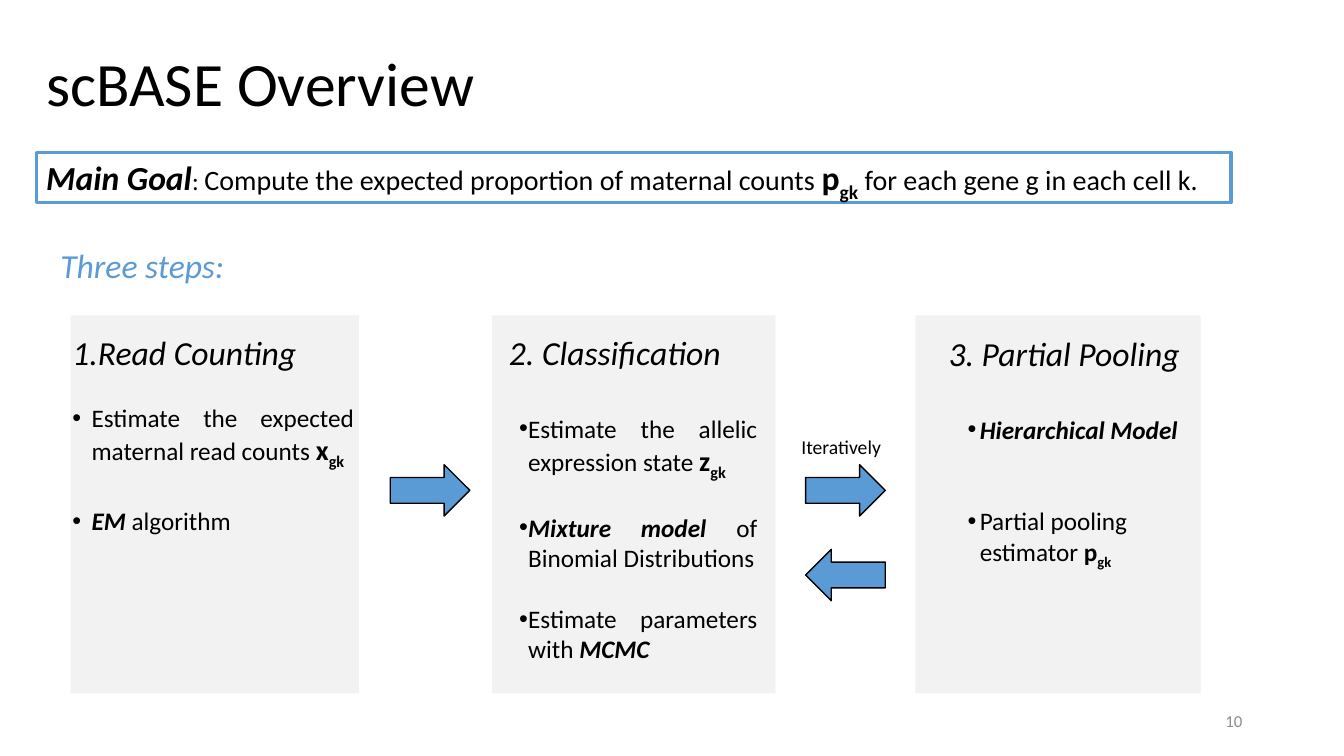
from lxml import etree
from pptx import Presentation
from pptx.dml.color import RGBColor
from pptx.enum import shapes, text
from pptx.oxml import ns
from pptx.util import Inches, Pt

BLACK = RGBColor(0, 0, 0)
BLUE = RGBColor(0x5B, 0x9B, 0xD5)
PALE = RGBColor(0xF2, 0xF2, 0xF2)
GRAY = RGBColor(0x8C, 0x8C, 0x8C)
FONT = "Calibri"
KIND = shapes.MSO_SHAPE
ALIGN = text.PP_ALIGN
MID = text.MSO_ANCHOR.MIDDLE
LOW = text.MSO_ANCHOR.BOTTOM


def write(par, words, size=18, bold=False, ital=False, color=BLACK, sub=False):
    run = par.add_run()
    run.text = words
    font = run.font
    font.name, font.size = FONT, Pt(size)
    font.bold, font.italic = bold, ital
    font.color.rgb = color
    if sub:
        run._r.get_or_add_rPr().set("baseline", "-25000")


def symbol(par, letter, size, tail="gk"):
    write(par, letter, size, bold=True)
    write(par, tail, size, bold=True, sub=True)


def frame(slide, x, y, w, h, anchor=text.MSO_ANCHOR.TOP):
    box = slide.shapes.add_textbox(Inches(x), Inches(y), Inches(w), Inches(h))
    body = box.text_frame
    body.word_wrap = True
    body.vertical_anchor = anchor
    return body


def label(slide, words, x, y, w, h, anchor=text.MSO_ANCHOR.TOP, align=ALIGN.LEFT, **form):
    par = frame(slide, x, y, w, h, anchor).paragraphs[0]
    par.alignment = align
    write(par, words, **form)
    return par


def block(slide, kind, x, y, w, h, fill=None, line=None, width=1):
    shape = slide.shapes.add_shape(kind, Inches(x), Inches(y), Inches(w), Inches(h))
    shape.shadow.inherit = False
    if fill is None:
        shape.fill.background()
    else:
        shape.fill.solid()
        shape.fill.fore_color.rgb = fill
    if line is None:
        shape.line.fill.background()
    else:
        shape.line.color.rgb = line
        shape.line.width = Pt(width)
    return shape


def arrow(slide, x, y, kind=KIND.RIGHT_ARROW):
    block(slide, kind, x, y, 0.79, 0.51, BLUE, BLACK)


def goal(slide):
    box = block(slide, KIND.RECTANGLE, 0.36, 1.51, 11.85, 0.5, line=BLUE, width=2.25)
    body = box.text_frame
    body.word_wrap = True
    body.vertical_anchor = text.MSO_ANCHOR.TOP
    par = body.paragraphs[0]
    par.alignment = ALIGN.LEFT
    write(par, "Main Goal", 24, bold=True, ital=True)
    write(par, ": ")
    write(par, "Compute the expected proportion of maternal counts ", 20)
    symbol(par, "p", 24)
    write(par, " for each gene g in each cell k.", 20)


def step(slide, head, x, y, w, h, align, left, hang):
    body = frame(slide, x, y, w, h)
    par = body.paragraphs[0]
    par.alignment = align
    write(par, head, 24, ital=True)

    def bullet(gap):
        item = body.add_paragraph()
        item.alignment = align
        item.space_before = Pt(gap)
        prop = item._p.get_or_add_pPr()
        prop.set("marL", str(Inches(left)))
        prop.set("indent", str(-Inches(hang)))
        etree.SubElement(prop, ns.qn("a:buFont")).set("typeface", "Arial")
        etree.SubElement(prop, ns.qn("a:buChar")).set("char", "•")
        return item

    return bullet


def count(slide):
    bullet = step(slide, "1.Read Counting", 0.62, 3.24, 2.99, 2.09, ALIGN.JUSTIFY, 0.19, 0.19)
    par = bullet(22)
    write(par, "Estimate the expected maternal read counts ")
    symbol(par, "x", 20, "gk ")
    par = bullet(24.4)
    write(par, "EM", bold=True, ital=True)
    write(par, " algorithm")


def classify(slide):
    bullet = step(slide, "2. Classification", 4.95, 3.24, 2.66, 3.64, ALIGN.JUSTIFY, 0.19, 0.09)
    par = bullet(29.3)
    write(par, "Estimate the allelic expression state ")
    symbol(par, "z", 20)
    write(par, " ", 16)
    par = bullet(22)
    write(par, "Mixture model", bold=True, ital=True)
    write(par, " of Binomial Distributions")
    par = bullet(22)
    write(par, "Estimate parameters with ")
    write(par, "MCMC", bold=True, ital=True)


def pool(slide):
    bullet = step(slide, "3. Partial Pooling", 9.31, 3.25, 2.9, 2.83, ALIGN.LEFT, 0.31, 0.12)
    write(bullet(29.3), "Hierarchical Model", bold=True, ital=True)
    par = bullet(44)
    write(par, "Partial pooling estimator ")
    symbol(par, "p", 18)


def main():
    deck = Presentation()
    deck.slide_width, deck.slide_height = Inches(13.33), Inches(7.5)
    slide = deck.slides.add_slide(deck.slide_layouts[6])
    for x, w in ((0.7, 2.86), (4.88, 2.81), (9.08, 2.83)):
        block(slide, KIND.RECTANGLE, x, 3.13, w, 3.75, PALE)
    goal(slide)
    title = label(slide, "scBASE Overview", 0.36, 0.24, 12.65, 1, LOW, size=44)
    title.line_spacing = 0.9
    label(slide, "Three steps:", 0.5, 2.38, 1.86, 0.81, size=24, ital=True, color=BLUE)
    count(slide)
    classify(slide)
    pool(slide)
    arrow(slide, 3.87, 4.61)
    arrow(slide, 7.99, 4.61)
    arrow(slide, 7.99, 5.45, KIND.LEFT_ARROW)
    label(slide, "Iteratively", 7.85, 4.27, 1.06, 0.34, size=14)
    label(slide, "10", 9.42, 6.95, 3, 0.4, MID, ALIGN.RIGHT, size=12, color=GRAY)
    deck.save("out.pptx")


if __name__ == "__main__":
    main()
